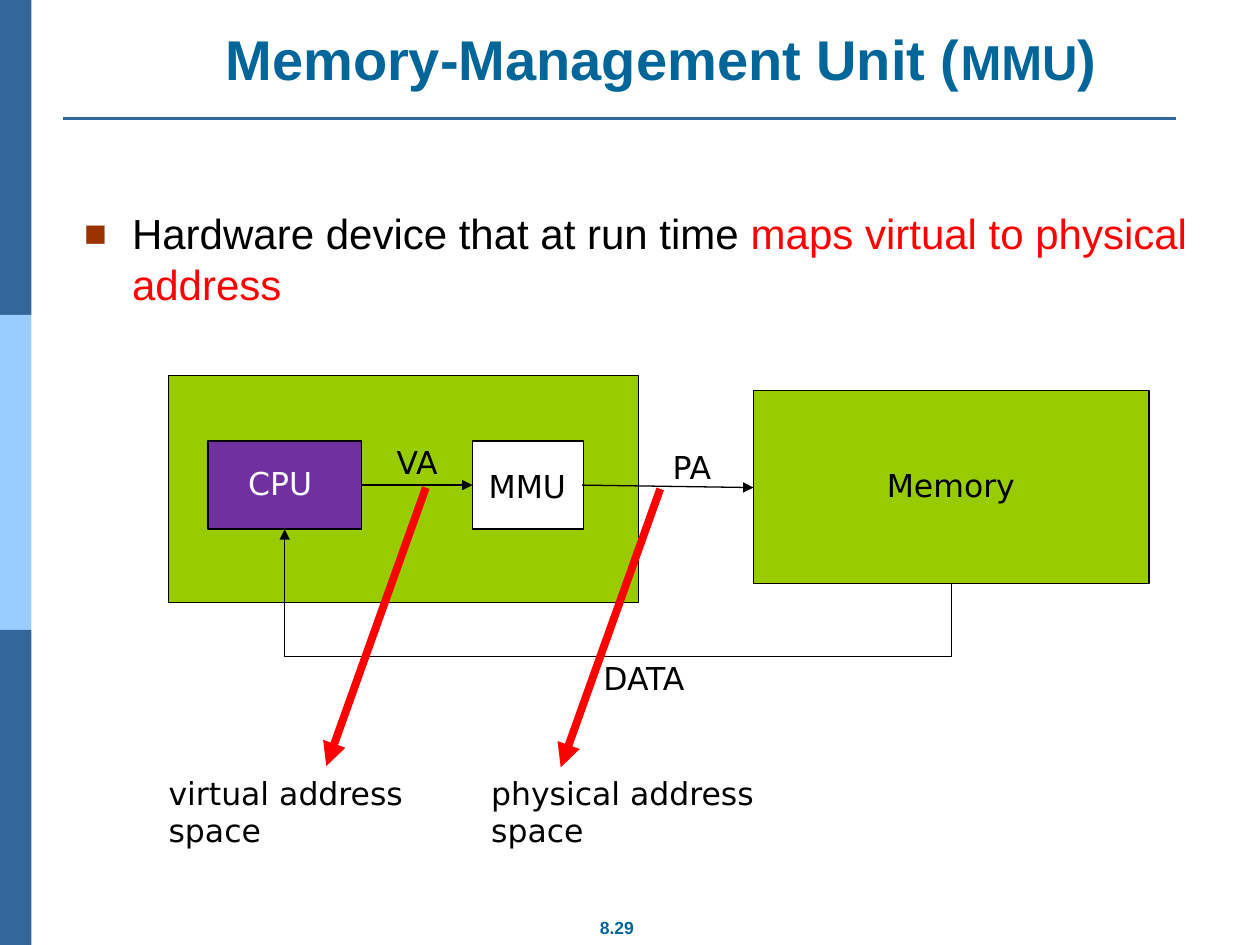
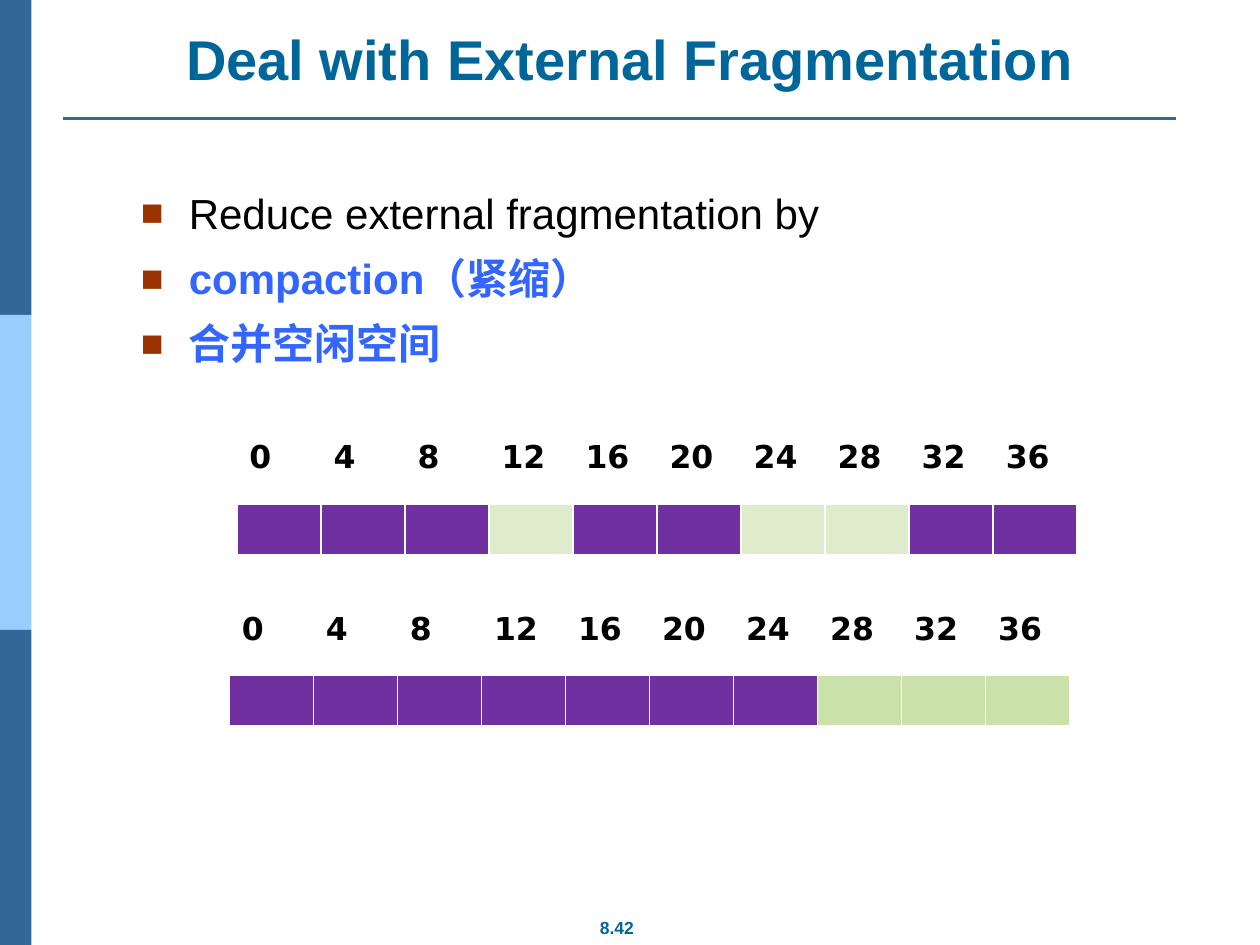
from dataclasses import dataclass

from lxml import etree
from pptx import Presentation
from pptx.dml.color import RGBColor
from pptx.enum.shapes import MSO_CONNECTOR, MSO_SHAPE
from pptx.enum.text import MSO_ANCHOR, MSO_AUTO_SIZE, PP_ALIGN
from pptx.oxml.ns import qn
from pptx.util import Inches, Pt

RECTANGLE = MSO_SHAPE.RECTANGLE
STRAIGHT = MSO_CONNECTOR.STRAIGHT
ELBOW = MSO_CONNECTOR.ELBOW
CENTER = PP_ALIGN.CENTER
BOTTOM = MSO_ANCHOR.BOTTOM
NO_AUTOFIT = MSO_AUTO_SIZE.NONE
TITLE_ONLY = 5


@dataclass(frozen=True)
class Theme:
    heading_font: str = "Arial"
    label_font: str = "DejaVu Sans"
    heading: str = "006699"
    band: str = "336699"
    band_light: str = "99CCFF"
    bullet: str = "993300"
    text: str = "000000"
    white: str = "FFFFFF"
    alert: str = "FF0000"
    accent: str = "3366FF"
    chip: str = "99CC00"
    used: str = "7030A0"
    free_before: str = "DEECCC"
    free_after: str = "CAE2AA"
    title_size: float = 32
    title_small_size: float = 28
    body_size: float = 24
    label_size: float = 18
    footer_size: float = 10
    paragraph_gap: float = 8.4
    thin_line: float = 0.75
    rule_line: float = 1.5
    callout_line: float = 4.5


THEME = Theme()


def color(value):
    return RGBColor.from_string(value)


def format_font(font, name, size, value, bold=False):
    font.name = name
    font.size = Pt(size)
    font.bold = bold
    font.color.rgb = color(value)


def add_box(slide, left, top, width, height, fill, outline=None):
    shape = slide.shapes.add_shape(
        RECTANGLE, Inches(left), Inches(top), Inches(width), Inches(height))
    shape.shadow.inherit = False
    shape.fill.solid()
    shape.fill.fore_color.rgb = color(fill)
    if outline:
        shape.line.color.rgb = color(outline)
        shape.line.width = Pt(THEME.thin_line)
    else:
        shape.line.fill.background()


def add_line(slide, start, end, value, width, kind=STRAIGHT, arrow=True):
    connector = slide.shapes.add_connector(
        kind, *(Inches(number) for number in (*start, *end)))
    connector.line.color.rgb = color(value)
    connector.line.width = Pt(width)
    if arrow:
        etree.SubElement(connector.get_or_add_ln(), qn("a:tailEnd"), type="triangle")
    etree.SubElement(connector.element.spPr, qn("a:effectLst"))
    return connector


def add_elbow_below(slide, start, end, bottom):
    span, rise = start[0] - end[0], start[1] - end[1]
    middle_x, middle_y = (start[0] + end[0]) / 2, (start[1] + end[1]) / 2
    connector = add_line(
        slide,
        (middle_x + rise / 2, middle_y - span / 2),
        (middle_x - rise / 2, middle_y + span / 2),
        THEME.text, THEME.thin_line, ELBOW)
    connector.rotation = 90
    bend = round((1 - (bottom - end[1]) / rise) * 100000)
    geometry = connector.element.spPr.find(qn("a:prstGeom"))
    adjustments = geometry.find(qn("a:avLst"))
    if adjustments is None:
        adjustments = etree.SubElement(geometry, qn("a:avLst"))
    etree.SubElement(adjustments, qn("a:gd"), name="adj1", fmla=f"val {bend}")


def add_text_box(slide, left, top, width, height, wrap=True):
    shape = slide.shapes.add_textbox(
        Inches(left), Inches(top), Inches(width), Inches(height))
    shape.text_frame.word_wrap = wrap
    return shape.text_frame


def add_label(slide, left, top, text, value=THEME.text, width=1.22, height=0.4):
    text_frame = add_text_box(slide, left, top, width, height)
    text_frame.text = text
    for paragraph in text_frame.paragraphs:
        format_font(paragraph.runs[0].font, THEME.label_font, THEME.label_size, value)


def add_title(slide, left, width, pieces):
    title = slide.shapes.title
    title.left, title.top = Inches(left), Inches(0.15)
    title.width, title.height = Inches(width), Inches(0.63)
    text_frame = title.text_frame
    text_frame.auto_size = NO_AUTOFIT
    text_frame.word_wrap = True
    text_frame.vertical_anchor = BOTTOM
    paragraph = text_frame.paragraphs[0]
    paragraph.alignment = CENTER
    for text, size in pieces:
        run = paragraph.add_run()
        run.text = text
        format_font(run.font, THEME.heading_font, size, THEME.heading, True)


def add_frame(slide, page):
    for index, fill in enumerate((THEME.band, THEME.band_light, THEME.band)):
        add_box(slide, 0, 2.5 * index, 0.25, 2.5, fill)
    add_line(slide, (0.5, 0.94), (9.33, 0.94), THEME.band, THEME.rule_line, arrow=False)
    text_frame = add_text_box(slide, 4.65, 7.23, 0.49, 0.27, wrap=False)
    text_frame.text = page
    paragraph = text_frame.paragraphs[0]
    paragraph.alignment = CENTER
    format_font(paragraph.runs[0].font, THEME.heading_font, THEME.footer_size,
                THEME.heading, True)


def add_bullets(slide, left, top, width, height, items):
    text_frame = add_text_box(slide, left, top, width, height)
    for index, pieces in enumerate(items):
        paragraph = text_frame.add_paragraph() if index else text_frame.paragraphs[0]
        if index:
            paragraph.space_before = Pt(THEME.paragraph_gap)
        properties = paragraph._p.get_or_add_pPr()
        properties.set("marL", str(Inches(0.38)))
        properties.set("indent", str(-Inches(0.38)))
        bullet_color = etree.SubElement(properties, qn("a:buClr"))
        etree.SubElement(bullet_color, qn("a:srgbClr"), val=THEME.bullet)
        etree.SubElement(properties, qn("a:buSzPct"), val="90000")
        etree.SubElement(properties, qn("a:buFont"), typeface=THEME.heading_font)
        etree.SubElement(properties, qn("a:buChar"), char="■")
        for text, value, bold in pieces:
            run = paragraph.add_run()
            run.text = text
            format_font(run.font, THEME.heading_font, THEME.body_size, value, bold)


def add_mmu_diagram(slide, left, top):
    def at(x, y):
        return left + x, top + y

    for x, y, width, height, fill in (
        (0, 0, 3.73, 1.8, THEME.chip),
        (0.31, 0.52, 1.22, 0.7, THEME.used),
        (2.41, 0.52, 0.88, 0.7, THEME.white),
        (4.64, 0.12, 3.14, 1.53, THEME.chip),
    ):
        add_box(slide, *at(x, y), width, height, fill, THEME.text)

    for start, end in (((1.53, 0.87), (2.41, 0.87)), ((3.28, 0.87), (4.64, 0.89))):
        add_line(slide, at(*start), at(*end), THEME.text, THEME.thin_line)
    add_elbow_below(slide, at(6.21, 1.65), at(0.92, 1.22), top + 2.23)

    add_label(slide, *at(0.53, 0.65), "CPU", THEME.white)
    for x, y, text in (
        (2.44, 0.68, "MMU"),
        (5.6, 0.67, "Memory"),
        (1.71, 0.49, "VA"),
        (3.9, 0.53, "PA"),
        (3.35, 2.2, "DATA"),
    ):
        add_label(slide, *at(x, y), text)

    for callout_x, callout_y, caption_x, text in (
        (2.04, 0.89, -0.1, "virtual address\nspace"),
        (3.9, 0.9, 2.46, "physical address\nspace"),
    ):
        add_line(slide, at(callout_x, callout_y), at(callout_x - 0.79, callout_y + 2.21),
                 THEME.alert, THEME.callout_line)
        add_label(slide, *at(caption_x, 3.11), text, width=2.54, height=0.71)


def set_borders(cell, bottom=1):
    properties = cell._tc.get_or_add_tcPr()
    for side, width in (("lnL", 1), ("lnR", 1), ("lnT", 1), ("lnB", bottom)):
        line = etree.SubElement(properties, qn(f"a:{side}"), w=str(Pt(width)))
        fill = etree.SubElement(line, qn("a:solidFill"))
        etree.SubElement(fill, qn("a:srgbClr"), val=THEME.white)


def add_memory_map(slide, left, top, free_blocks, free_fill):
    block_count = 10
    table = slide.shapes.add_table(
        2, block_count, Inches(left), Inches(top), Inches(6.67), Inches(0.96)).table
    table.rows[0].height = Inches(0.55)
    table.rows[1].height = Inches(0.41)
    for block in range(block_count):
        table.columns[block].width = Inches(6.67 / block_count)
        address, memory = table.cell(0, block), table.cell(1, block)
        set_borders(address, bottom=3)
        address.fill.background()
        address.text_frame.text = str(4 * block)
        format_font(address.text_frame.paragraphs[0].runs[0].font,
                    THEME.label_font, THEME.label_size, THEME.text, True)
        set_borders(memory)
        memory.fill.solid()
        memory.fill.fore_color.rgb = color(
            free_fill if block in free_blocks else THEME.used)


def add_slide(presentation, page):
    slide = presentation.slides.add_slide(presentation.slide_layouts[TITLE_ONLY])
    add_frame(slide, page)
    return slide


def build_mmu_slide(presentation):
    slide = add_slide(presentation, "8.29")
    add_title(slide, 0.96, 8.57, (
        ("Memory-Management Unit (", THEME.title_size),
        ("MMU", THEME.title_small_size),
        (")", THEME.title_size),
    ))
    add_bullets(slide, 0.57, 1.6, 9.33, 5.63, [[
        ("Hardware device that at run time ", THEME.text, False),
        ("maps virtual to physical address", THEME.alert, False),
    ]])
    add_mmu_diagram(slide, 1.34, 2.98)


def build_fragmentation_slide(presentation):
    slide = add_slide(presentation, "8.42")
    add_title(slide, 0.5, 9, [("Deal with External Fragmentation", THEME.title_size)])
    add_bullets(slide, 1.02, 1.44, 8.48, 4.95, [
        [("Reduce external fragmentation by", THEME.text, False)],
        [("compaction（紧缩）", THEME.accent, True)],
        [("合并空闲空间", THEME.accent, True)],
    ])
    add_memory_map(slide, 1.88, 3.44, {3, 6, 7}, THEME.free_before)
    add_memory_map(slide, 1.82, 4.8, {7, 8, 9}, THEME.free_after)


def main():
    presentation = Presentation()
    presentation.slide_width = Inches(10)
    presentation.slide_height = Inches(7.5)
    build_mmu_slide(presentation)
    build_fragmentation_slide(presentation)
    presentation.save("out.pptx")


if __name__ == "__main__":
    main()
